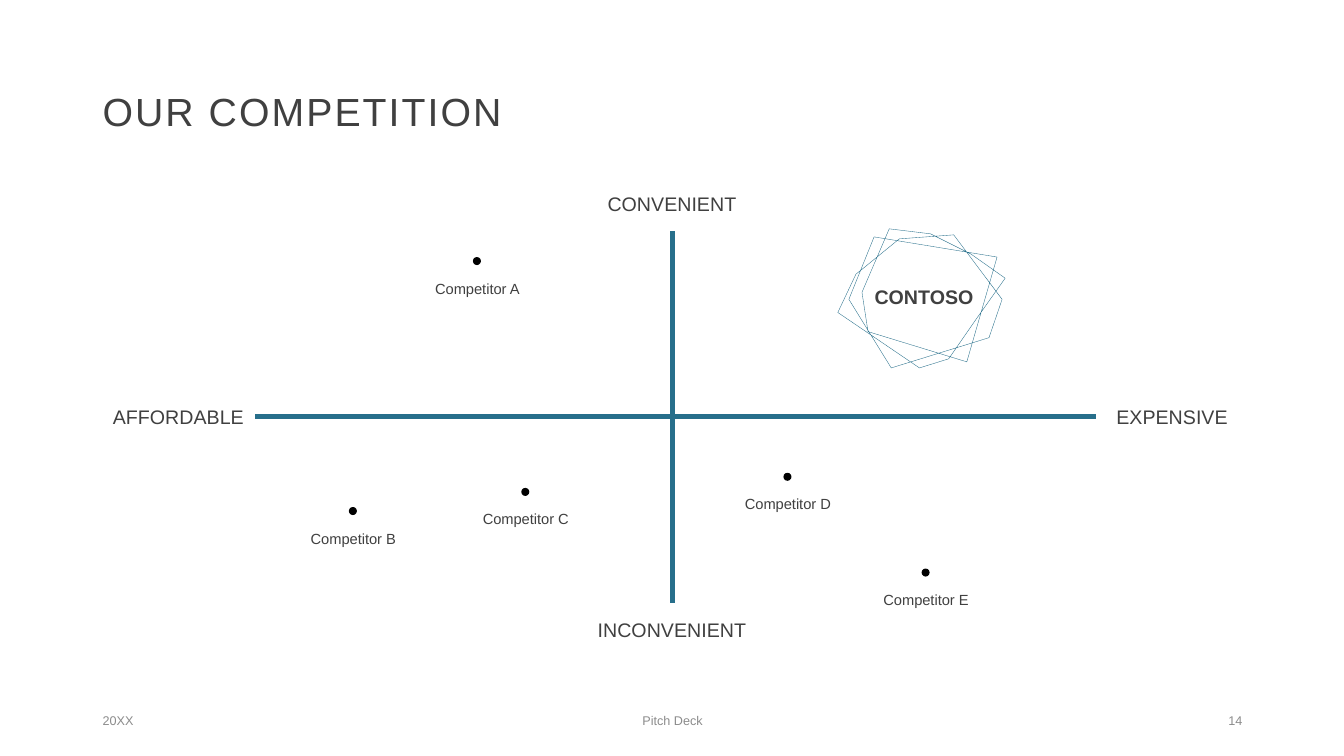
from lxml import etree
from pptx import Presentation
from pptx.dml.color import RGBColor
from pptx.enum.shapes import MSO_CONNECTOR, MSO_SHAPE
from pptx.enum.text import MSO_ANCHOR, PP_ALIGN as AL
from pptx.oxml.ns import qn
from pptx.util import Inches, Pt

TEAL, DARK, GRAY, BLACK = "276F8B", "404040", "8C8C8C", "000000"


def rgb(value):
    return RGBColor.from_string(value)


def add_text(text, x, y, w, h, size, color=DARK, align=AL.CENTER, bold=False):
    tf = s.shapes.add_textbox(Inches(x), Inches(y), Inches(w), Inches(h)).text_frame
    tf.word_wrap = True
    tf.vertical_anchor = MSO_ANCHOR.MIDDLE
    p = tf.paragraphs[0]
    p.text = text
    p.alignment = align
    p.font.name = "Arial"
    p.font.size = Pt(size)
    p.font.bold = bold
    p.font.color.rgb = rgb(color)
    return p


prs = Presentation()
prs.slide_width, prs.slide_height = Inches(13.33), Inches(7.5)
s = prs.slides.add_slide(prs.slide_layouts[6])

# Axes
for x1, y1, x2, y2 in [(2.53, 4.13, 10.87, 4.13), (6.67, 5.98, 6.67, 2.29)]:
    axis = s.shapes.add_connector(
        MSO_CONNECTOR.STRAIGHT, Inches(x1), Inches(y1), Inches(x2), Inches(y2))
    axis.line.color.rgb = rgb(TEAL)
    axis.line.width = Pt(3.5)
    etree.SubElement(axis._element.spPr, qn("a:effectLst"))

# Title
title = add_text("OUR COMPETITION", 0.92, 0.4, 11.5, 1.45, 28, align=AL.LEFT)
title.line_spacing = 0.9
title.runs[0].font._element.set("spc", "150")

# Axis labels
for text, x, y, w in [
    ("CONVENIENT", 5.73, 1.75, 1.87),
    ("INCONVENIENT", 5.73, 5.98, 1.87),
    ("AFFORDABLE", 1.01, 3.86, 1.52),
    ("EXPENSIVE", 10.87, 3.86, 1.51),
]:
    add_text(text, x, y, w, 0.54, 14)

# Competitors: a dot with its label below
for letter, x, y in [
    ("A", 4.69, 2.55),
    ("B", 3.46, 5.03),
    ("C", 5.17, 4.84),
    ("D", 7.77, 4.69),
    ("E", 9.14, 5.64),
]:
    dot = s.shapes.add_shape(
        MSO_SHAPE.OVAL, Inches(x), Inches(y), Inches(0.08), Inches(0.08))
    dot.shadow.inherit = False
    dot.fill.solid()
    dot.fill.fore_color.rgb = rgb(BLACK)
    dot.line.fill.background()
    add_text(f"Competitor {letter}", x - 0.6, y + 0.04, 1.29, 0.54, 10.5)

# Own company inside a tangled outline
add_text("CONTOSO", 8.23, 2.37, 1.87, 1.15, 14, bold=True)
outline = [
    (8.92, 2.37), (8.54, 2.68), (8.49, 2.72), (8.31, 3.1), (9.12, 3.65), (9.41, 3.56),
    (9.68, 3.17), (9.97, 2.76), (9.63, 2.52), (9.23, 2.32), (8.82, 2.27), (8.55, 2.9),
    (8.61, 3.29), (9.59, 3.59), (9.89, 2.55), (8.67, 2.35), (8.42, 2.97), (8.84, 3.65),
    (9.81, 3.35), (9.94, 2.97), (9.46, 2.33),
]
points = [(Inches(x), Inches(y)) for x, y in outline]
builder = s.shapes.build_freeform(*points[0])
builder.add_line_segments(points[1:], close=True)
tangle = builder.convert_to_shape()
tangle.shadow.inherit = False
tangle.fill.background()
tangle.line.color.rgb = rgb(TEAL)
tangle.line.width = Pt(0.25)

# Footer
for text, x, w, align in [
    ("20XX", 0.92, 3, AL.LEFT),
    ("Pitch Deck", 4.42, 4.5, AL.CENTER),
    ("14", 9.42, 3, AL.RIGHT),
]:
    add_text(text, x, 6.95, w, 0.4, 9, GRAY, align)

prs.save("out.pptx")
